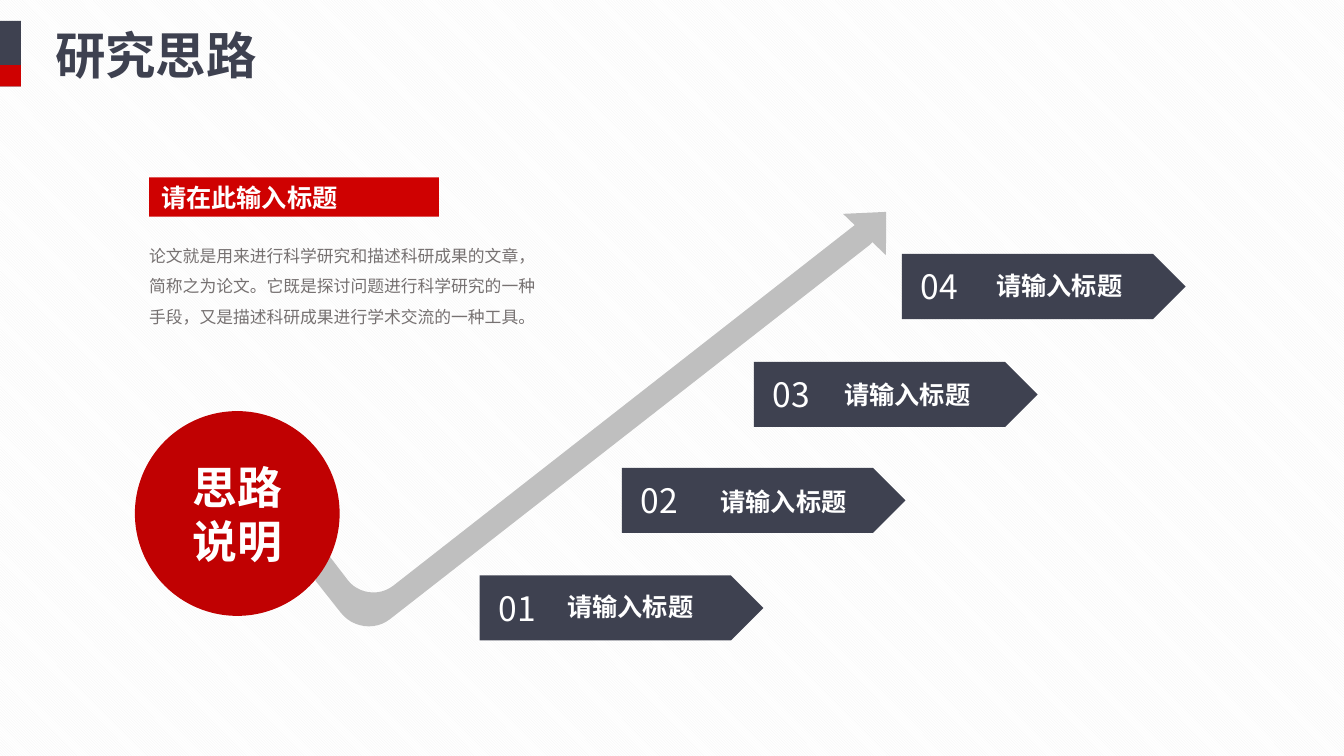
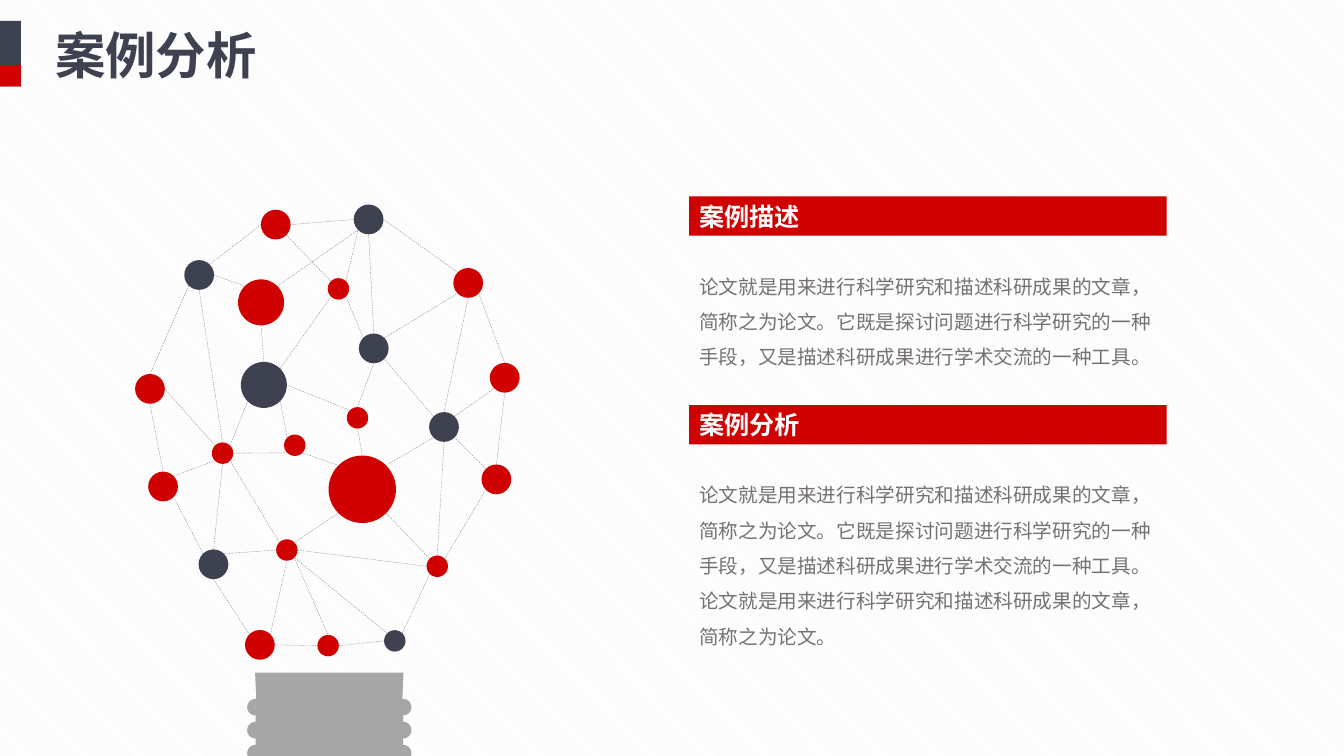
from dataclasses import dataclass
from math import cos, pi, radians, sin
from typing import NamedTuple

from lxml import etree
from pptx import Presentation
from pptx.dml.color import RGBColor
from pptx.enum import dml, shapes, text
from pptx.oxml import ns
from pptx.util import Cm, Pt

KIND = shapes.MSO_SHAPE
ALIGN = text.PP_ALIGN
Point = tuple[float, float]


@dataclass(frozen=True)
class Theme:
    font: str = "Noto Sans CJK SC"
    navy: str = "3E4150"
    red: str = "CF0101"
    deep_red: str = "C00102"
    arrow: str = "BFBFBF"
    socket: str = "A6A6A6"
    link: str = "808080"
    body: str = "767171"
    white: str = "FFFFFF"
    hatch: str = "F2F2F2"
    title_pt: int = 36
    circle_pt: int = 32
    number_pt: int = 24
    heading_pt: int = 18
    body_pt: int = 14
    small_pt: int = 12


THEME = Theme()


class Box(NamedTuple):
    left: float
    top: float
    width: float
    height: float

    def emu(self) -> list[int]:
        return [Cm(length) for length in self]


class Step(NamedTuple):
    number: str
    left: float
    top: float
    label_dx: float
    label_dy: float


class Node(NamedTuple):
    x: float
    y: float
    diameter: float
    color: str


class Link(NamedTuple):
    start: str
    start_side: str
    end: str
    end_side: str


class Section(NamedTuple):
    heading: str
    body: str
    top: float
    body_height: float


ABOUT = ("论文就是用来进行科学研究和描述科研成果的文章，简称之为论文。"
         "它既是探讨问题进行科学研究的一种手段，又是描述科研成果进行学术交流的一种工具。")
STEPS = [
    Step("04", 22.73, 6.40, 2.13, 0.28),
    Step("03", 19.00, 9.12, 2.03, 0.30),
    Step("02", 15.67, 11.79, 2.24, 0.33),
    Step("01", 12.09, 14.50, 1.96, 0.28),
]
SECTIONS = [
    Section("案例描述", ABOUT, 4.95, 2.95),
    Section("案例分析", ABOUT + "论文就是用来进行科学研究和描述科研成果的文章，简称之为论文。", 10.21, 4.65),
]

# Rising arrow: a pair is a line end, six numbers are a Bézier curve.
ARROW_BAND = [
    (21.62, 5.61), (22.23, 5.61), (22.2, 5.74),
    (22.15, 5.89, 22.05, 6.05, 21.92, 6.17), (9.83, 15.6),
    (9.45, 15.9, 8.89, 15.82, 8.59, 15.44), (7.95, 14.63),
    (8.08, 14.25), (8.13, 13.79), (8.76, 14.61),
    (9.02, 14.96, 9.55, 15.04, 9.91, 14.76),
]

SMALL, MEDIUM, LARGE, HUGE = 0.54, 0.75, 1.16, 1.7
RED, NAVY = THEME.red, THEME.navy
NODES = {
    "A": Node(6.55, 16.25, MEDIUM, RED), "B": Node(9.95, 16.15, SMALL, NAVY),
    "C": Node(8.27, 16.27, SMALL, RED), "D": Node(5.38, 14.22, MEDIUM, NAVY),
    "E": Node(4.11, 12.26, MEDIUM, RED), "F": Node(3.78, 9.8, MEDIUM, RED),
    "G": Node(5.02, 6.93, MEDIUM, NAVY), "H": Node(6.95, 5.66, MEDIUM, RED),
    "I": Node(9.29, 5.53, MEDIUM, NAVY), "J": Node(11.8, 7.13, MEDIUM, RED),
    "K": Node(12.72, 9.52, MEDIUM, RED), "L": Node(12.51, 12.08, MEDIUM, RED),
    "M": Node(11.02, 14.27, SMALL, RED), "N": Node(7.23, 13.86, SMALL, RED),
    "O": Node(6.65, 9.7, LARGE, NAVY), "P": Node(9.13, 12.33, HUGE, RED),
    "Q": Node(7.43, 11.22, SMALL, RED), "R": Node(5.61, 11.42, SMALL, RED),
    "S": Node(8.53, 7.28, SMALL, RED), "T": Node(9.42, 8.78, MEDIUM, NAVY),
    "U": Node(11.19, 10.76, MEDIUM, NAVY), "V": Node(6.58, 7.62, LARGE, RED),
    "W": Node(9.01, 10.53, SMALL, RED),
}
# Each link: node, compass side, node, compass side.
LINKS = [Link(*entry.split()) for entry in (
    "A e C w", "C e B w", "B ne M sw", "M ne L sw", "L n K s", "K n J se",
    "J nw I e", "I w H e", "H w G ne", "G sw F n", "F s E n", "E se D nw",
    "D s A nw", "A ne N s", "N e M w", "N se C n", "B nw N se", "N nw R se",
    "D ne N w", "R sw E ne", "D n R s", "R n G s", "R nw F e", "G e V nw",
    "V s O n", "O se Q nw", "Q se P nw", "P se M nw", "P sw N ne", "Q sw R e",
    "O sw R ne", "O ne S sw", "S ne I sw", "V ne I sw", "H se S nw", "T ne J sw",
    "T n I s", "T nw S se", "W n T s", "W s P n", "W nw O e", "P ne U sw",
    "U n J s", "U nw T se", "U ne K sw", "U se L nw", "M n U s",
)]
COMPASS = ("e", "se", "s", "sw", "w", "nw", "n", "ne")


def paint(shape, color: str):
    shape.shadow.inherit = False
    shape.fill.solid()
    shape.fill.fore_color.rgb = RGBColor.from_string(color)
    shape.line.fill.background()
    return shape


def add_block(slide, kind, box: Box, color: str):
    return paint(slide.shapes.add_shape(kind, *box.emu()), color)


def write(shape, content: str, size: int, color: str, bold: bool = False,
          align=ALIGN.LEFT, wrap: bool = False, spacing: float = 1.0,
          inset: float = 0.25, anchor=text.MSO_ANCHOR.MIDDLE) -> None:
    frame = shape.text_frame
    frame.text = content
    frame.word_wrap = wrap
    frame.auto_size = text.MSO_AUTO_SIZE.NONE
    frame.vertical_anchor = anchor
    frame.margin_left = Cm(inset)
    for paragraph in frame.paragraphs:
        paragraph.alignment = align
        paragraph.line_spacing = spacing
        for run in paragraph.runs:
            run.font.size = Pt(size)
            run.font.bold = bold
            run.font.color.rgb = RGBColor.from_string(color)
            run.font.name = THEME.font
            east_asian = etree.SubElement(run.font._element, ns.qn("a:ea"))
            east_asian.set("typeface", THEME.font)


def add_banner(slide, box: Box, heading: str, inset: float = 0.25) -> None:
    banner = add_block(slide, KIND.RECTANGLE, box, THEME.red)
    write(banner, heading, THEME.heading_pt, THEME.white, bold=True, inset=inset)


def add_body(slide, box: Box, content: str, size: int) -> None:
    body = slide.shapes.add_textbox(*box.emu())
    write(body, content, size, THEME.body, wrap=True, spacing=1.5,
          anchor=text.MSO_ANCHOR.TOP)


def add_outline(slide, points: list[Point], color: str) -> None:
    corners = [(Cm(x), Cm(y)) for x, y in points]
    builder = slide.shapes.build_freeform(*corners[0], scale=1.0)
    builder.add_line_segments(corners[1:], close=True)
    paint(builder.convert_to_shape(), color)


def flatten(segments: list[tuple[float, ...]], pieces: int = 12) -> list[Point]:
    """Turn lines and Bézier curves into one list of points."""
    points: list[Point] = []
    for segment in segments:
        if len(segment) == 2:
            points.append(segment)
            continue
        controls = [points[-1], segment[:2], segment[2:4], segment[4:]]
        for i in range(1, pieces + 1):
            t = i / pieces
            weights = ((1 - t) ** 3, 3 * t * (1 - t) ** 2, 3 * t * t * (1 - t), t ** 3)
            points.append(tuple(sum(w * c[axis] for w, c in zip(weights, controls))
                                for axis in (0, 1)))
    return points


def arc(x: float, y: float, rx: float, ry: float, start: float, end: float) -> list[Point]:
    """Points on an ellipse, angles in degrees, clockwise from the right."""
    angles = [radians(start + (end - start) * i / 12) for i in range(13)]
    return [(x + rx * cos(a), y + ry * sin(a)) for a in angles]


def add_socket(slide) -> None:
    """The lamp base: its right half, mirrored about the axis."""
    axis = 8.3
    half = [(1.87, 16.95), (1.84, 17.62)]
    for ridge in range(4):
        half += arc(1.86, 17.82 + 0.58 * ridge, 0.21, 0.21, -90, 90)
    half += arc(0, 19.77, 1.69, 1.21, 0, 90)
    right = [(axis + x, y) for x, y in half]
    left = [(axis - x, y) for x, y in reversed(half)]
    add_outline(slide, right + left, THEME.socket)


def side_point(node: Node, side: str) -> Point:
    angle = COMPASS.index(side) * pi / 4
    radius = node.diameter / 2
    return node.x + radius * cos(angle), node.y + radius * sin(angle)


def add_link(slide, link: Link) -> None:
    ends = (side_point(NODES[link.start], link.start_side)
            + side_point(NODES[link.end], link.end_side))
    line = slide.shapes.add_connector(shapes.MSO_CONNECTOR.STRAIGHT,
                                      *(Cm(length) for length in ends))
    line.line.color.rgb = RGBColor.from_string(THEME.link)
    line.line.width = Pt(0.25)
    line.line.dash_style = dml.MSO_LINE.DASH
    etree.SubElement(line._element.spPr, ns.qn("a:effectLst"))


def add_step(slide, step: Step) -> None:
    plate = add_block(slide, KIND.PENTAGON, Box(step.left, step.top, 7.15, 1.64), THEME.navy)
    write(plate, step.number, THEME.number_pt, THEME.white, inset=0.48)
    label = slide.shapes.add_textbox(
        *Box(step.left + step.label_dx, step.top + step.label_dy, 3.71, 1.02).emu())
    write(label, "请输入标题", THEME.heading_pt, THEME.white, bold=True)


def set_up_template(prs):
    """Set the hatched background and the title place; return the layout."""
    fill = prs.slide_master.background.fill
    fill.patterned()
    fill.pattern = dml.MSO_PATTERN.LIGHT_DOWNWARD_DIAGONAL
    fill.fore_color.rgb = RGBColor.from_string(THEME.hatch)
    fill.back_color.rgb = RGBColor.from_string(THEME.white)
    layout = prs.slide_layouts.get_by_name("Title Only")
    title = layout.placeholders[0]
    title.left, title.top, title.width, title.height = Box(1.14, 0.48, 5.64, 1.8).emu()
    return layout


def add_titled_slide(prs, layout, title: str):
    slide = prs.slides.add_slide(layout)
    write(slide.shapes.title, title, THEME.title_pt, THEME.navy, bold=True)
    add_block(slide, KIND.RECTANGLE, Box(0, 0.53, 0.53, 1.65), THEME.navy)
    add_block(slide, KIND.RECTANGLE, Box(0, 1.64, 0.53, 0.54), THEME.red)
    return slide


def add_approach_slide(prs, layout) -> None:
    slide = add_titled_slide(prs, layout, "研究思路")
    add_outline(slide, flatten(ARROW_BAND), THEME.arrow)
    arrowhead = add_block(slide, KIND.ISOSCELES_TRIANGLE, Box(21.31, 5.23, 1.5, 0.79), THEME.arrow)
    arrowhead.rotation = 43.9
    circle = add_block(slide, KIND.OVAL, Box(3.4, 10.36, 5.16, 5.16), THEME.deep_red)
    write(circle, "思路\n说明", THEME.circle_pt, THEME.white, bold=True, align=ALIGN.CENTER)
    for step in STEPS:
        add_step(slide, step)
    add_body(slide, Box(3.51, 5.82, 10.57, 2.57), ABOUT, THEME.small_pt)
    add_banner(slide, Box(3.76, 4.47, 7.3, 0.99), "请在此输入标题", inset=0.3)


def add_case_slide(prs, layout) -> None:
    slide = add_titled_slide(prs, layout, "案例分析")
    add_socket(slide)
    for node in NODES.values():
        radius = node.diameter / 2
        add_block(slide, KIND.OVAL, Box(node.x - radius, node.y - radius,
                                        node.diameter, node.diameter), node.color)
    for link in LINKS:
        add_link(slide, link)
    for section in SECTIONS:
        add_banner(slide, Box(17.37, section.top, 12.03, 0.99), section.heading)
        add_body(slide, Box(17.37, section.top + 1.55, 12.03, section.body_height),
                 section.body, THEME.body_pt)


def main() -> None:
    prs = Presentation()
    prs.slide_width, prs.slide_height = Cm(33.87), Cm(19.05)
    layout = set_up_template(prs)
    add_approach_slide(prs, layout)
    add_case_slide(prs, layout)
    prs.save("out.pptx")


if __name__ == "__main__":
    main()
